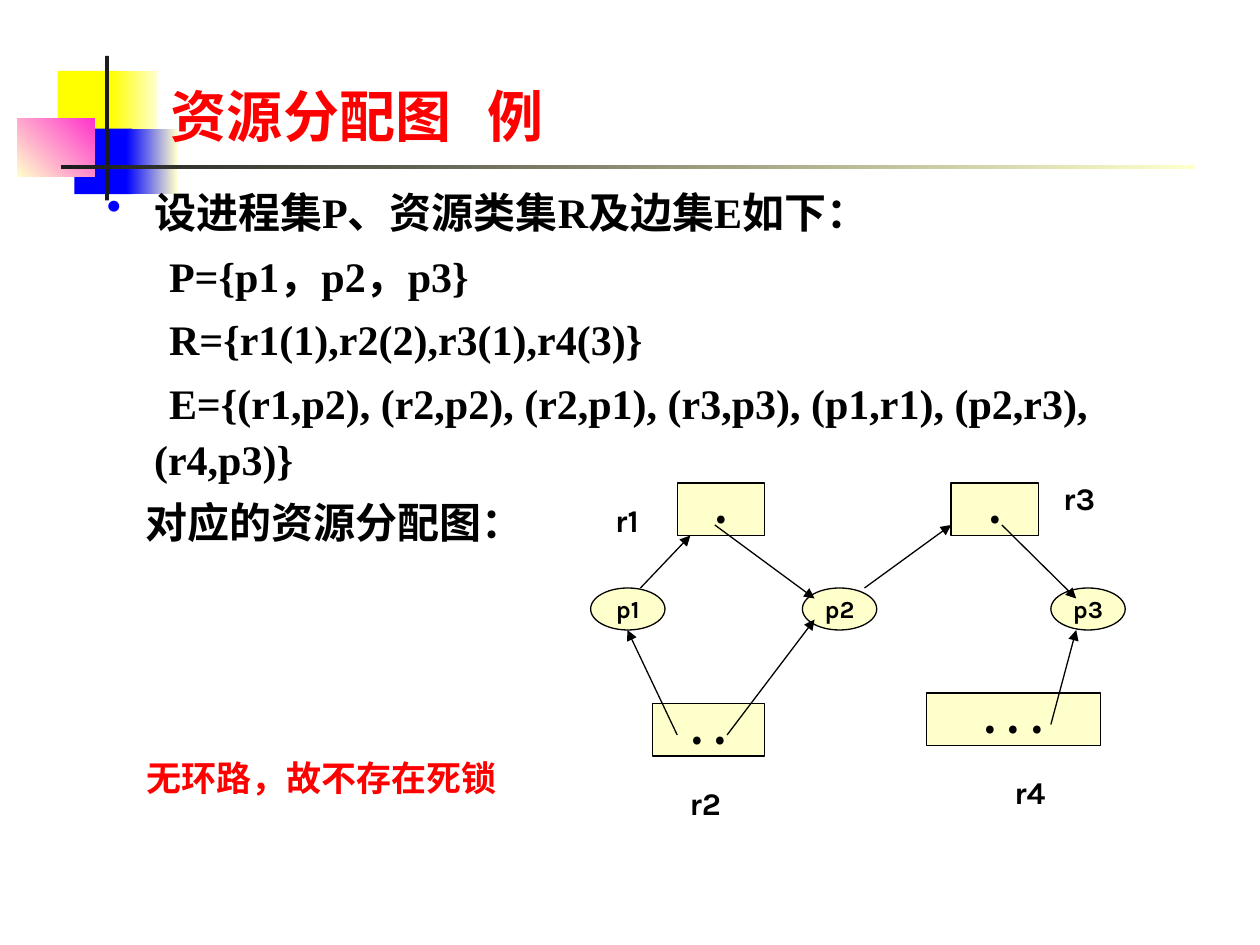
from lxml import etree
from pptx import Presentation
from pptx.dml.color import RGBColor
from pptx.enum import shapes, text
from pptx.oxml.ns import qn
from pptx.util import Pt

SERIF, SANS, CJK = "Times New Roman", "Karla", "Noto Sans CJK SC"
CREAM, BLACK, RED, BLUE, YELLOW = "FFFFCC", "000000", "FF0000", "0000FF", "FFFF00"
DARK, PINK = "1C1C1C", "FF33CC"
RECT, OVAL = shapes.MSO_SHAPE.RECTANGLE, shapes.MSO_SHAPE.OVAL

# Fill is one colour, or a start colour, end colour and angle.
DECORATION = [
    (33, 40.5, 34.5, 37.5, YELLOW),
    (63.5, 40.5, 26, 37.5, (YELLOW, CREAM, 0)),
    (42.5, 73.5, 33, 37.5, BLUE),
    (72, 73.5, 29, 37.5, (BLUE, CREAM, 0)),
    (10, 67.5, 44, 33.5, (CREAM, PINK, 45)),
    (60, 32, 2.25, 82.5, DARK),
    (35, 94.5, 648, 2.25, (DARK, CREAM, 0)),
]
# Text, first-line indent from the common left margin
BODY = [
    ("设进程集P、资源类集R及边集E如下：", -27),
    ("P={p1，p2，p3}", 8.5),
    ("R={r1(1),r2(2),r3(1),r4(3)}", 8.5),
    ("E={(r1,p2), (r2,p2), (r2,p1), (r3,p3), (p1,r1), (p2,r3), (r4,p3)}", 8.5),
    ("对应的资源分配图：", -5),
]
PROCESSES = [("p1", 337.5), ("p2", 458.5), ("p3", 600.5)]
# Instances, box left, top, width; label name, left, top
RESOURCES = [
    (1, 387, 276, 50, "r1", 344.5, 282.5),
    (2, 373, 402, 64, "r2", 387, 444.5),
    (1, 543.5, 276, 50, "r3", 600.5, 270),
    (3, 529.5, 396, 99.5, "r4", 572.5, 438),
]
EDGES = [
    (408.5, 300, 465.5, 342),
    (415.5, 420, 465.5, 354),
    (387, 420, 358.5, 360),
    (572.5, 300, 615, 342),
    (366, 336, 394.5, 306),
    (494, 336, 543.5, 300),
    (600.5, 414, 615, 360),
]


def color(value):
    return RGBColor.from_string(value)


def style(p, font, size, value):
    for r in p.runs:
        r.font.name, r.font.size, r.font.bold = font, Pt(size), True
        r.font.color.rgb = color(value)
        ea = etree.SubElement(r.font._element, qn("a:ea"))
        ea.set("typeface", CJK)


def add_shape(s, kind, x, y, w, h, fill, outline=None):
    sp = s.shapes.add_shape(kind, Pt(x), Pt(y), Pt(w), Pt(h))
    sp.shadow.inherit = False
    if isinstance(fill, tuple):
        sp.fill.gradient()
        sp.fill.gradient_angle = fill[2]
        for position, (stop, value) in enumerate(zip(sp.fill.gradient_stops, fill)):
            stop.position = position
            stop.color.rgb = color(value)
    else:
        sp.fill.solid()
        sp.fill.fore_color.rgb = color(fill)
    if outline:
        sp.line.color.rgb = color(outline)
        sp.line.width = Pt(0.75)
    else:
        sp.line.fill.background()
    return sp


def add_node(s, kind, x, y, w, h, label, font, size, spacing):
    sp = add_shape(s, kind, x, y, w, h, CREAM, BLACK)
    tf = sp.text_frame
    tf.word_wrap = False
    tf.vertical_anchor = text.MSO_ANCHOR.MIDDLE
    p = tf.paragraphs[0]
    p.text = label
    p.alignment = text.PP_ALIGN.CENTER
    p.line_spacing = spacing
    style(p, font, size, BLACK)


def add_label(s, x, y, w, h, label, size, value):
    tf = s.shapes.add_textbox(Pt(x), Pt(y), Pt(w), Pt(h)).text_frame
    tf.word_wrap = True
    tf.text = label
    style(tf.paragraphs[0], SANS, size, value)


def add_arrow(s, x1, y1, x2, y2):
    line = s.shapes.add_connector(shapes.MSO_CONNECTOR.STRAIGHT, Pt(x1), Pt(y1), Pt(x2), Pt(y2))
    line.line.color.rgb = color(BLACK)
    line.line.width = Pt(0.75)
    etree.SubElement(line.line._get_or_add_ln(), qn("a:tailEnd")).set("type", "triangle")
    etree.SubElement(line.element.spPr, qn("a:effectLst"))


def add_title(s):
    """Format the title and bring it in front of the decoration."""
    title = s.shapes.title
    title.left, title.top, title.width, title.height = Pt(90.5), Pt(20), Pt(613.5), Pt(68.5)
    tf = title.text_frame
    tf.text = "资源分配图\t例"
    tf.word_wrap = True
    tf.auto_size = text.MSO_AUTO_SIZE.NONE
    tf.vertical_anchor = text.MSO_ANCHOR.BOTTOM
    p = tf.paragraphs[0]
    p.alignment = text.PP_ALIGN.LEFT
    tabs = etree.SubElement(p._p.get_or_add_pPr(), qn("a:tabLst"))
    etree.SubElement(tabs, qn("a:tab"), pos=str(Pt(181)), algn="l")
    style(p, SERIF, 32, RED)
    title.element.getparent().append(title.element)


def add_body(s):
    tf = s.shapes.add_textbox(Pt(54), Pt(100), Pt(612), Pt(153.5)).text_frame
    tf.word_wrap = True
    for i, (line, indent) in enumerate(BODY):
        p = tf.add_paragraph() if i else tf.paragraphs[0]
        p.text = line
        p.line_spacing = 1.1
        if i:
            p.space_before = Pt(4.8)
        pPr = p._p.get_or_add_pPr()
        pPr.set("marL", str(Pt(27)))
        pPr.set("indent", str(Pt(indent)))
        if i == 0:
            bullet_color = etree.SubElement(pPr, qn("a:buClr"))
            etree.SubElement(bullet_color, qn("a:srgbClr"), val=BLUE)
            etree.SubElement(pPr, qn("a:buChar"), char="•")
        style(p, SERIF, 24, BLACK)


def add_graph(s):
    for name, x in PROCESSES:
        add_node(s, OVAL, x, 336, 42.5, 24, name, SANS, 14, 1.0)
    for count, x, y, w, name, label_x, label_y in RESOURCES:
        add_node(s, RECT, x, y, w, 30, " ".join("." * count), CJK, 24, 0.95)
        add_label(s, label_x, label_y, 35.5, 29, name, 18, BLACK)
    for edge in EDGES:
        add_arrow(s, *edge)


def main():
    prs = Presentation()
    prs.slide_width, prs.slide_height = Pt(720), Pt(540)
    s = prs.slides.add_slide(prs.slide_layouts[5])
    for x, y, w, h, fill in DECORATION:
        add_shape(s, RECT, x, y, w, h, fill)
    add_title(s)
    add_body(s)
    add_graph(s)
    add_label(s, 76.5, 428.5, 266.5, 31, "无环路，故不存在死锁", 20, RED)
    prs.save("out.pptx")


if __name__ == "__main__":
    main()
